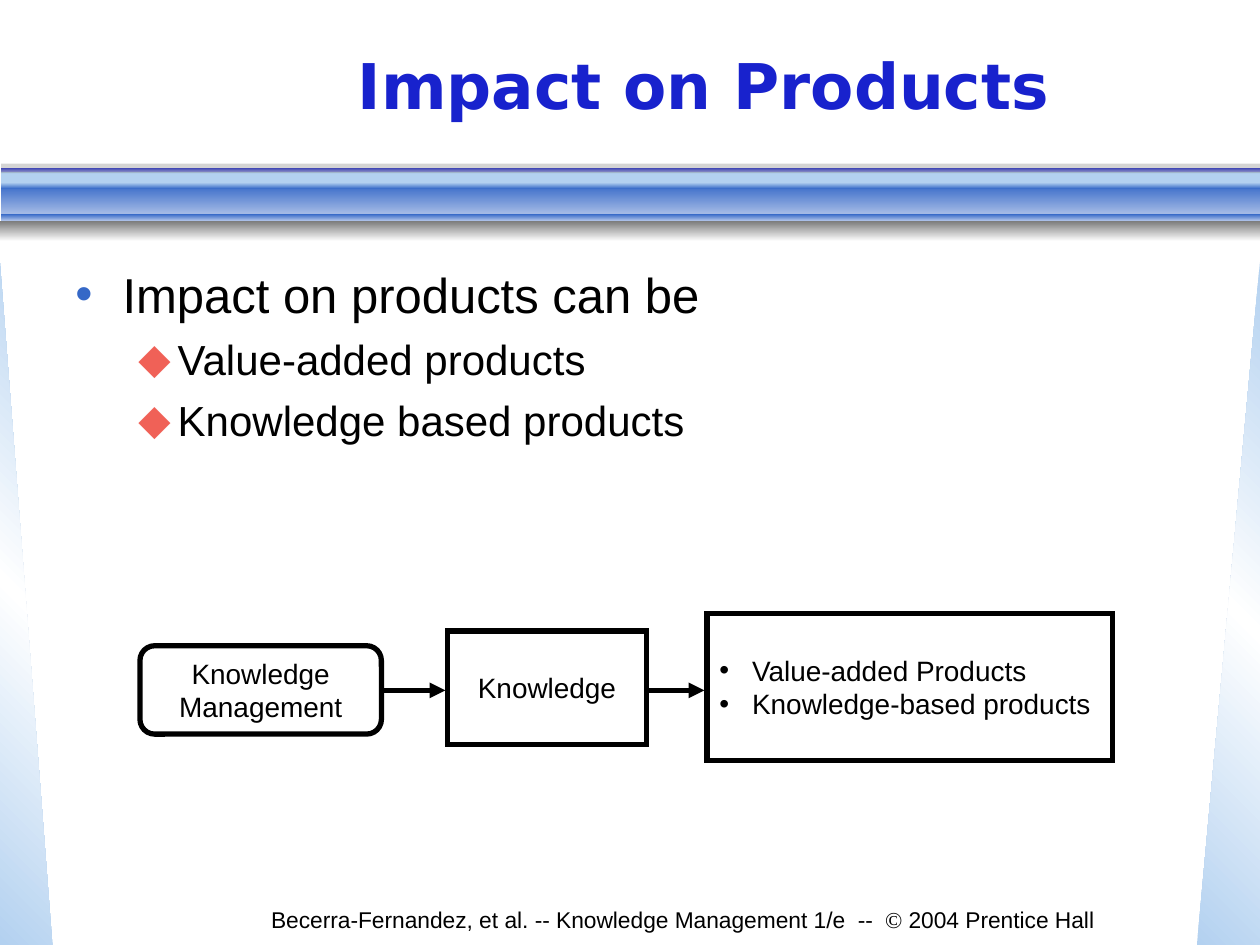
"""Build the "Impact on Products" slide."""
import copy
import dataclasses

import lxml.etree
import pptx
import pptx.dml.color
import pptx.enum.shapes
import pptx.enum.text
import pptx.oxml.ns
import pptx.util

Pt = pptx.util.Pt
Shape = pptx.enum.shapes.MSO_SHAPE
Align = pptx.enum.text.PP_ALIGN
Anchor = pptx.enum.text.MSO_ANCHOR
qn = pptx.oxml.ns.qn


@dataclasses.dataclass(frozen=True)
class Theme:
    """Colours, fonts and type sizes."""
    ink: str = "000000"
    title: str = "1822CD"
    violet: str = "878DE5"
    sky: str = "B3D1F0"
    blue: str = "3568C7"
    haze: str = "A9BEE7"
    coral: str = "F06157"
    grey: str = "777777"
    white: str = "FFFFFF"
    body_font: str = "Arial"
    title_font: str = "DejaVu Sans"
    symbol_font: str = "Times New Roman"
    title_size: float = 36
    body_size: float = 28
    sub_size: float = 24
    box_size: float = 16
    footer_size: float = 13
    stroke: float = 3


@dataclasses.dataclass(frozen=True)
class Bullet:
    """Bullet sign, its colour and font, and the text indent."""
    sign: str
    color: str
    font: str
    left: float
    hang: float


class SlideBuilder:
    """Draw each kind of element on the current slide."""

    def __init__(self, slide, theme):
        """Keep the slide and the theme."""
        self.slide = slide
        self.theme = theme

    def rgb(self, code):
        """Turn a hex code into a colour."""
        return pptx.dml.color.RGBColor.from_string(code)

    def shape(self, kind, bounds):
        """Add a shape without shadow, fill or line."""
        shape = self.slide.shapes.add_shape(kind, *map(Pt, bounds))
        shape.shadow.inherit = False
        shape.fill.background()
        shape.line.fill.background()
        return shape

    def solid(self, bounds, color, alpha=100):
        """Add a plain band, see-through below 100 percent."""
        band = self.shape(Shape.RECTANGLE, bounds)
        band.fill.solid()
        band.fill.fore_color.rgb = self.rgb(color)
        if alpha < 100:
            tone = band._element.spPr.find(qn("a:solidFill"))[0]
            lxml.etree.SubElement(tone, qn("a:alpha"), val=str(alpha * 1000))

    def gradient(self, bounds, colors, angle=270, kind=Shape.RECTANGLE, flip=False):
        """Add a shape with evenly spaced gradient colours."""
        shape = self.shape(kind, bounds)
        shape.fill.gradient()
        shape.fill.gradient_angle = angle
        stop_list = next(shape._element.spPr.iter(qn("a:gsLst")))
        for _ in colors[2:]:
            stop_list.append(copy.deepcopy(stop_list[-1]))
        for index, (stop, color) in enumerate(zip(shape.fill.gradient_stops, colors)):
            stop.position = index / (len(colors) - 1)
            stop.color.rgb = self.rgb(color)
        if flip:
            shape._element.spPr.xfrm.set("flipH", "1")

    def format(self, para, size, font, color, bold=False):
        """Set the type of every run in a paragraph."""
        for span in para.runs:
            span.font.size = Pt(size)
            span.font.name = font
            span.font.bold = bold
            span.font.color.rgb = self.rgb(color)

    def bullet(self, para, bullet):
        """Give a paragraph a hanging bullet."""
        props = para._p.get_or_add_pPr()
        props.set("marL", str(Pt(bullet.left)))
        props.set("indent", str(-Pt(bullet.hang)))
        tone = lxml.etree.SubElement(props, qn("a:buClr"))
        lxml.etree.SubElement(tone, qn("a:srgbClr"), val=bullet.color)
        lxml.etree.SubElement(props, qn("a:buFont"), typeface=bullet.font)
        lxml.etree.SubElement(props, qn("a:buChar"), char=bullet.sign)

    def text(self, bounds, anchor=Anchor.TOP):
        """Add a wrapping text box and return its frame."""
        frame = self.slide.shapes.add_textbox(*map(Pt, bounds)).text_frame
        frame.word_wrap = True
        frame.vertical_anchor = anchor
        return frame

    def box(self, kind, bounds, text, bullet=None):
        """Add an outlined box with centred text or a bullet list."""
        box = self.shape(kind, bounds)
        box.line.color.rgb = self.rgb(self.theme.ink)
        box.line.width = Pt(self.theme.stroke)
        lxml.etree.SubElement(box.line._get_or_add_ln(), qn("a:miter"), lim="800000")
        frame = box.text_frame
        frame.word_wrap = True
        frame.vertical_anchor = Anchor.MIDDLE
        frame.text = text
        for para in frame.paragraphs:
            para.alignment = Align.LEFT if bullet else Align.CENTER
            if bullet:
                self.bullet(para, bullet)
            self.format(para, self.theme.box_size, self.theme.body_font, self.theme.ink)

    def arrow(self, start, end, y):
        """Add a horizontal arrow."""
        line = self.slide.shapes.add_connector(
            pptx.enum.shapes.MSO_CONNECTOR.STRAIGHT, Pt(start), Pt(y), Pt(end), Pt(y))
        line.line.color.rgb = self.rgb(self.theme.ink)
        line.line.width = Pt(self.theme.stroke)
        lxml.etree.SubElement(line.line._get_or_add_ln(), qn("a:tailEnd"), type="triangle")
        lxml.etree.SubElement(line._element.spPr, qn("a:effectLst"))


def main():
    """Build and save the deck."""
    theme = Theme()
    deck = pptx.Presentation()
    deck.slide_width, deck.slide_height = Pt(720), Pt(540)
    page = SlideBuilder(deck.slides.add_slide(deck.slide_layouts[6]), theme)

    sheen = (theme.sky, theme.white, theme.sky)
    page.gradient((0, 150, 30, 390), sheen, 45, Shape.RIGHT_TRIANGLE)
    page.gradient((684, 150, 36, 390), sheen, 315, Shape.RIGHT_TRIANGLE, flip=True)

    page.solid((0.7, 98, 719.3, 7), theme.sky)
    for top, height, colors in (
        (105, 18, (theme.blue, theme.haze)),
        (95.8, 2.4, (theme.title, theme.violet)),
        (122.4, 3.6, (theme.blue, theme.haze)),
        (104.4, 3.6, (theme.sky, theme.blue)),
    ):
        page.gradient((0.7, top, 719.3, height), colors)
    page.gradient((0, 126, 720, 12), (theme.grey, theme.white))
    page.solid((0.7, 93.5, 719.3, 5.5), theme.grey, alpha=31)

    footer = page.text((108, 516, 564, 24)).paragraphs[0]
    footer.alignment = Align.CENTER
    footer.line_spacing = 0.9
    for part in ("Becerra-Fernandez, et al. -- Knowledge Management 1/e  --  ",
                 "©", " 2004 Prentice Hall"):
        footer.add_run().text = part
    page.format(footer, theme.footer_size, theme.body_font, theme.ink)
    footer.runs[1].font.name = theme.symbol_font

    title = page.text((90, 6, 624, 84), Anchor.MIDDLE)
    title.text = "Impact on Products"
    title.paragraphs[0].alignment = Align.CENTER
    page.format(title.paragraphs[0], theme.title_size, theme.title_font, theme.title, bold=True)

    body = page.text((36, 147.6, 648, 356.4))
    body.text = "Impact on products can be\nValue-added products\nKnowledge based products"
    for index, para in enumerate(body.paragraphs):
        if index:
            para.level = 1
            para.space_before = Pt(6)
            page.bullet(para, Bullet("◆", theme.coral, theme.title_font, 58.5, 22.5))
        else:
            page.bullet(para, Bullet("•", theme.blue, theme.body_font, 27, 27))
        size = theme.sub_size if index else theme.body_size
        page.format(para, size, theme.body_font, theme.ink)

    page.box(Shape.RECTANGLE, (255.6, 360.5, 114, 65), "Knowledge")
    page.box(Shape.RECTANGLE, (404, 350.5, 232, 84),
             "Value-added Products\nKnowledge-based products",
             Bullet("•", theme.ink, theme.body_font, 18.75, 18.75))
    page.arrow(218.5, 254.5, 394.5)
    page.arrow(370.5, 402.5, 394.5)
    page.box(Shape.ROUNDED_RECTANGLE, (80, 369, 138, 50.5), "Knowledge Management")

    deck.save("out.pptx")


if __name__ == "__main__":
    main()
